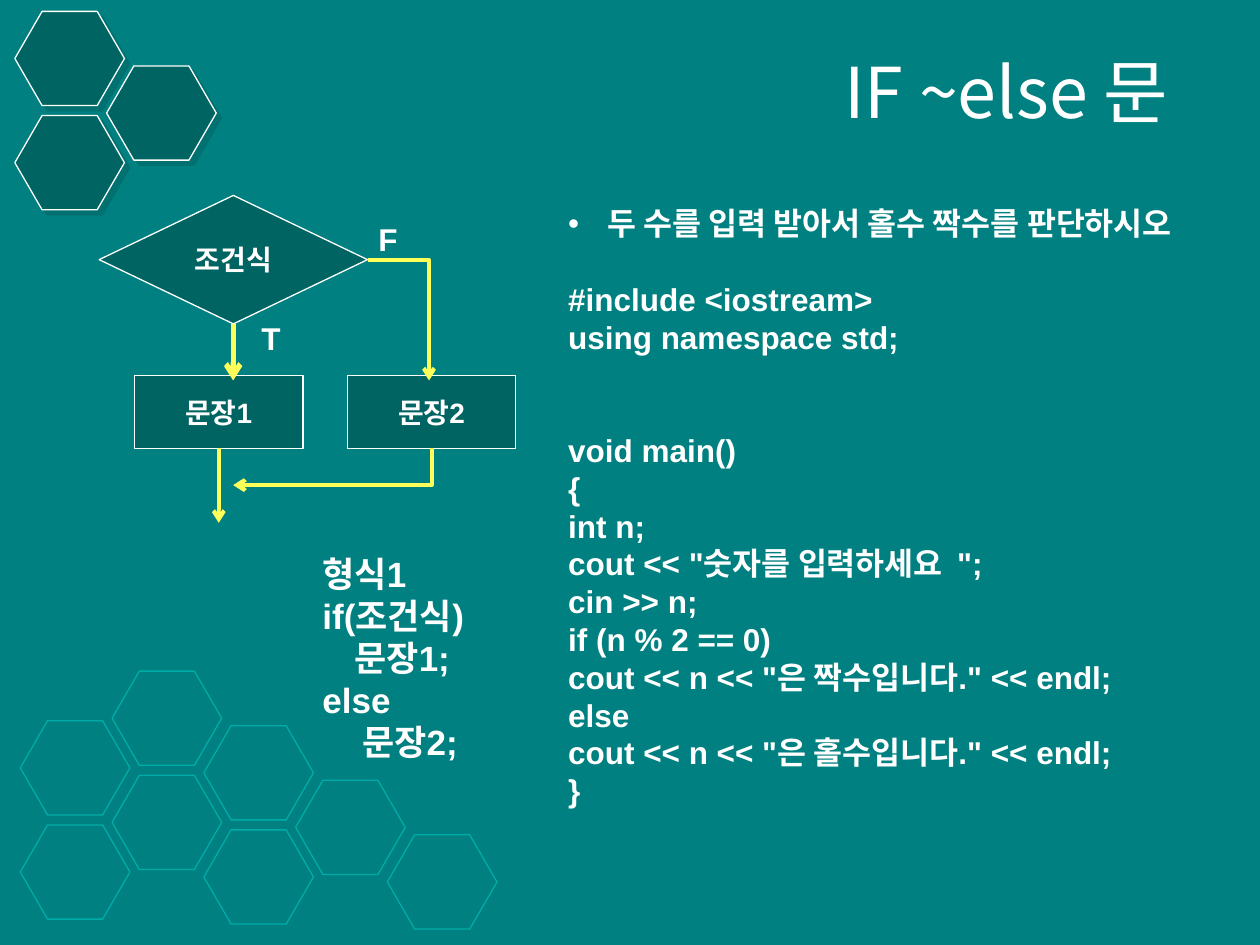
from lxml.etree import SubElement
from pptx import Presentation
from pptx.dml.color import RGBColor
from pptx.enum.shapes import MSO_CONNECTOR, MSO_SHAPE
from pptx.enum.text import MSO_ANCHOR, MSO_AUTO_SIZE, PP_ALIGN
from pptx.oxml.ns import qn
from pptx.util import Cm, Pt

TEAL = RGBColor(0x00, 0x80, 0x80)
DEEP_TEAL = RGBColor(0x00, 0x64, 0x62)
BRIGHT_TEAL = RGBColor(0x00, 0xAC, 0xA8)
YELLOW = RGBColor(0xFF, 0xFF, 0x59)
WHITE = RGBColor(0xFF, 0xFF, 0xFF)
LATIN, KOREAN = "Arial", "Noto Sans CJK KR"

# Honeycomb cells as (column, row); each column sits half a row lower
TOP_CELLS = [(0, 1), (0, 0), (1, 0)]
BOTTOM_CELLS = [(2, 0), (2, -1), (3, -1), (4, -1), (1, 0), (1, -1), (0, 0), (0, 1)]

TASK = "두 수를 입력 받아서 홀수 짝수를 판단하시오"
CODE = [
    "#include <iostream>",
    "using namespace std;",
    "void main()",
    "{",
    "int n;",
    'cout << "숫자를 입력하세요  ";',
    "cin >> n;",
    "if (n % 2 == 0)",
    'cout << n << "은 짝수입니다." << endl;',
    "else",
    'cout << n << "은 홀수입니다." << endl;',
    "}",
]
GAPS_BEFORE = {"#include <iostream>": 21.6, "void main()": 43.2}
SYNTAX = ["형식1", "if(조건식)", "    문장1;", "else", "     문장2;"]


def style(para, size, bold=True, latin=LATIN, align=PP_ALIGN.LEFT):
    para.alignment = align
    font = para.font
    font.size, font.bold, font.name = Pt(size), bold, latin
    font.color.rgb = WHITE
    defaults = para._p.pPr.find(qn("a:defRPr"))
    SubElement(defaults, qn("a:ea"), typeface=KOREAN)


def set_indent(para, bullet=None):
    props = para._p.get_or_add_pPr()
    margin = Cm(0.79) if bullet else 0
    props.set("marL", str(margin))
    props.set("indent", str(-margin))
    if bullet:
        SubElement(props, qn("a:buChar"), char=bullet)
    else:
        SubElement(props, qn("a:buNone"))


def add_block(page, kind, left, top, width, height, fill, line):
    block = page.shapes.add_shape(kind, Cm(left), Cm(top), Cm(width), Cm(height))
    block.shadow.inherit = False
    if fill is None:
        block.fill.background()
    else:
        block.fill.solid()
        block.fill.fore_color.rgb = fill
    block.line.color.rgb = line
    block.line.width = Pt(0.75)
    return block


def add_text(page, left, top, width, height, lines, size, wrap=True):
    box = page.shapes.add_textbox(Cm(left), Cm(top), Cm(width), Cm(height))
    frame = box.text_frame
    frame.word_wrap = wrap
    frame.text = "\n".join(lines)
    for para in frame.paragraphs:
        style(para, size)


def add_honeycomb(page, left, top, cells, fill, line, shadow=False):
    for column, row in cells:
        cell = add_block(page, MSO_SHAPE.HEXAGON, left + 1.85 * column,
                         top + 1.1 * column + 2.1 * row, 2.21, 1.9, fill, line)
        cell.adjustments[0] = 0.289
        if shadow:
            effects = cell._element.spPr.find(qn("a:effectLst"))
            outer = SubElement(effects, qn("a:outerShdw"), dist=str(Pt(4.2)),
                               dir="2700000", algn="ctr", rotWithShape="0")
            colour = SubElement(outer, qn("a:srgbClr"), val=str(DEEP_TEAL))
            SubElement(colour, qn("a:alpha"), val="50000")


def add_arrow(page, start, end, width=2.25, bent=False, down_first=False):
    (x1, y1), (x2, y2) = start, end
    if down_first:
        # A right-then-down elbow, turned a quarter about its centre
        mid_x, mid_y = (x1 + x2) / 2, (y1 + y2) / 2
        half_w, half_h = abs(y2 - y1) / 2, abs(x2 - x1) / 2
        x1, y1, x2, y2 = mid_x - half_w, mid_y - half_h, mid_x + half_w, mid_y + half_h
    kind = MSO_CONNECTOR.ELBOW if bent else MSO_CONNECTOR.STRAIGHT
    arrow = page.shapes.add_connector(kind, Cm(x1), Cm(y1), Cm(x2), Cm(y2))
    props = arrow._element.spPr
    if bent:
        props.find(qn("a:prstGeom")).set("prst", "bentConnector2")
    if down_first:
        props.find(qn("a:xfrm")).set("rot", "5400000")
    arrow.line.color.rgb = YELLOW
    arrow.line.width = Pt(width)
    SubElement(props.find(qn("a:ln")), qn("a:tailEnd"), type="arrow")
    SubElement(props, qn("a:effectLst"))


def add_flowchart(page, left, top):
    def at(x, y):
        return left + x, top + y

    # Decision and its two branches
    for kind, x, y, width, height, label in [
        (MSO_SHAPE.FLOWCHART_DECISION, 0, 0, 5.41, 2.59, "조건식"),
        (MSO_SHAPE.RECTANGLE, 0.71, 3.63, 3.4, 1.47, "문장1"),
        (MSO_SHAPE.RECTANGLE, 5, 3.63, 3.4, 1.47, "문장2"),
    ]:
        block = add_block(page, kind, *at(x, y), width, height, DEEP_TEAL, WHITE)
        frame = block.text_frame
        frame.vertical_anchor = MSO_ANCHOR.MIDDLE
        frame.text = label
        style(frame.paragraphs[0], 16, align=PP_ALIGN.CENTER)

    # Flow arrows
    add_arrow(page, at(2.7, 2.59), at(2.7, 3.73), width=3)
    add_arrow(page, at(2.41, 5.1), at(2.41, 6.6))
    add_arrow(page, at(5.41, 1.3), at(6.65, 3.73), bent=True)
    add_arrow(page, at(6.7, 5.1), at(2.7, 5.84), bent=True, down_first=True)

    # Branch labels
    add_text(page, *at(5.38, 0.38), 0.91, 1.02, ["F"], 18, wrap=False)
    add_text(page, *at(3.02, 2.36), 0.91, 1.02, ["T"], 18, wrap=False)


def place(holder, left, top, width, height, anchor):
    holder.left, holder.top = Cm(left), Cm(top)
    holder.width, holder.height = Cm(width), Cm(height)
    frame = holder.text_frame
    frame.word_wrap = True
    frame.auto_size = MSO_AUTO_SIZE.NONE
    frame.vertical_anchor = anchor
    return frame


def fill_title(page, left, top, width, height):
    frame = place(page.shapes.title, left, top, width, height, MSO_ANCHOR.MIDDLE)
    frame.text = "IF ~else 문"
    style(frame.paragraphs[0], 40, bold=False, latin=KOREAN, align=PP_ALIGN.RIGHT)


def fill_code(page, left, top, width, height):
    frame = place(page.placeholders[1], left, top, width, height, MSO_ANCHOR.TOP)
    frame.text = "\n".join([TASK] + CODE)
    for para in frame.paragraphs:
        para.space_before = Pt(GAPS_BEFORE.get(para.text, 0))
        set_indent(para, "•" if para.text == TASK else None)
        style(para, 18)


def main():
    deck = Presentation()
    deck.slide_width, deck.slide_height = Cm(25.4), Cm(19.05)
    page = deck.slides.add_slide(deck.slide_layouts[1])
    page.background.fill.solid()
    page.background.fill.fore_color.rgb = TEAL

    add_honeycomb(page, 0.41, 14.53, BOTTOM_CELLS, None, BRIGHT_TEAL)
    add_honeycomb(page, 0.3, 0.23, TOP_CELLS, DEEP_TEAL, WHITE, shadow=True)
    fill_title(page, 4.7, 0.71, 19.1, 2.21)
    add_flowchart(page, 2, 3.94)
    add_text(page, 6.25, 11.02, 4.17, 4.52, SYNTAX, 20)
    fill_code(page, 11.2, 3.99, 13.69, 12.57)
    deck.save("out.pptx")


if __name__ == "__main__":
    main()
